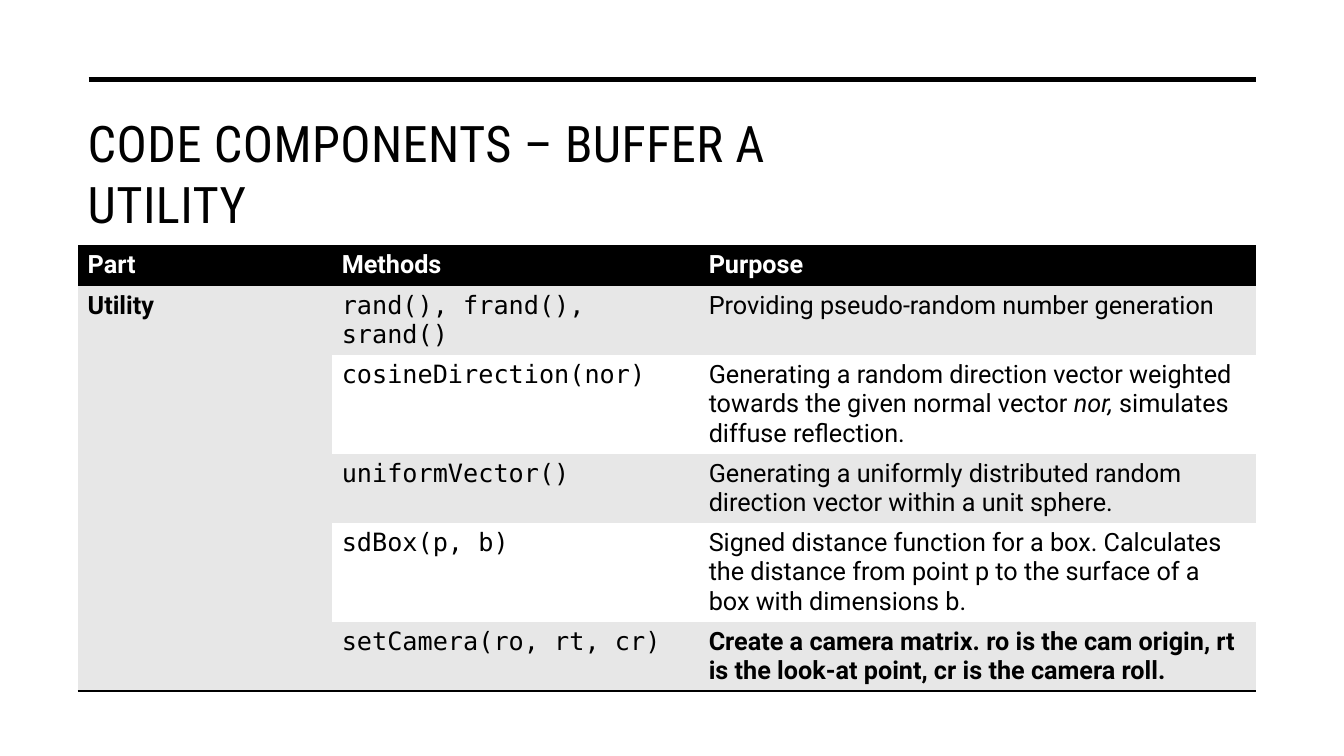
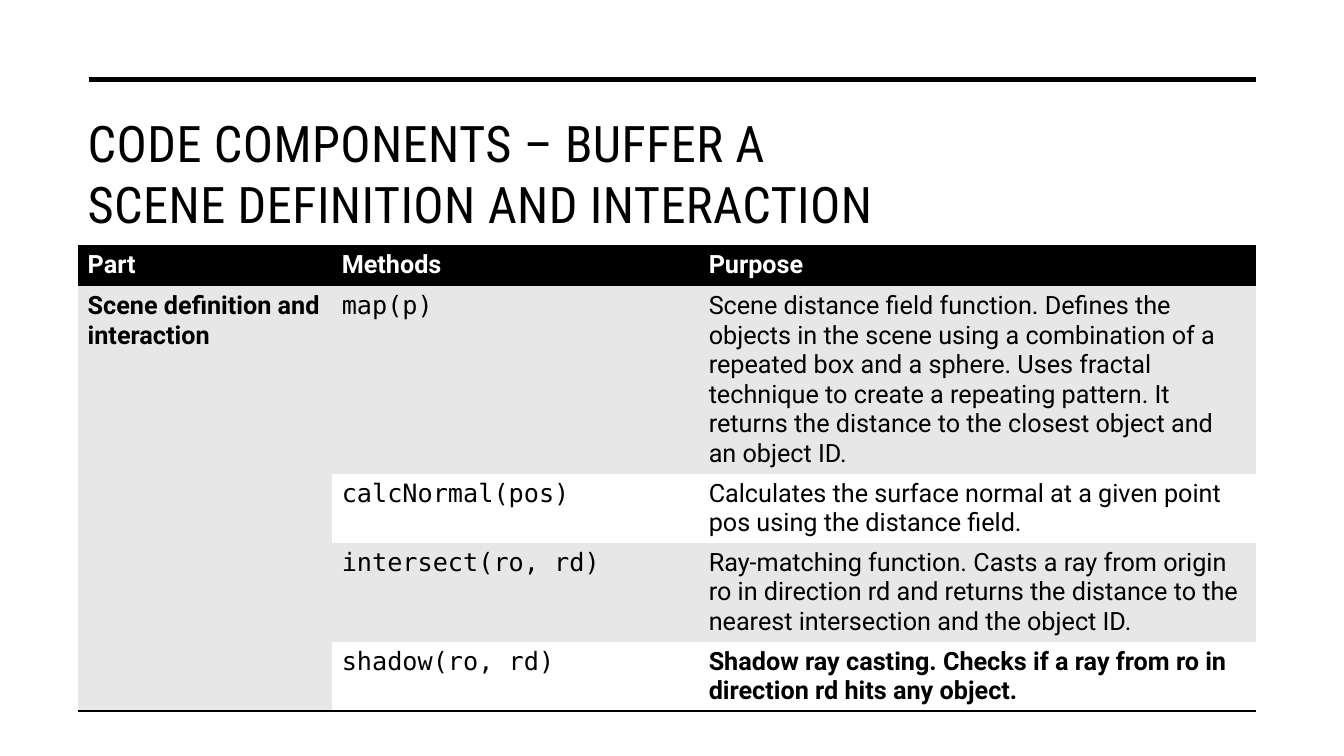
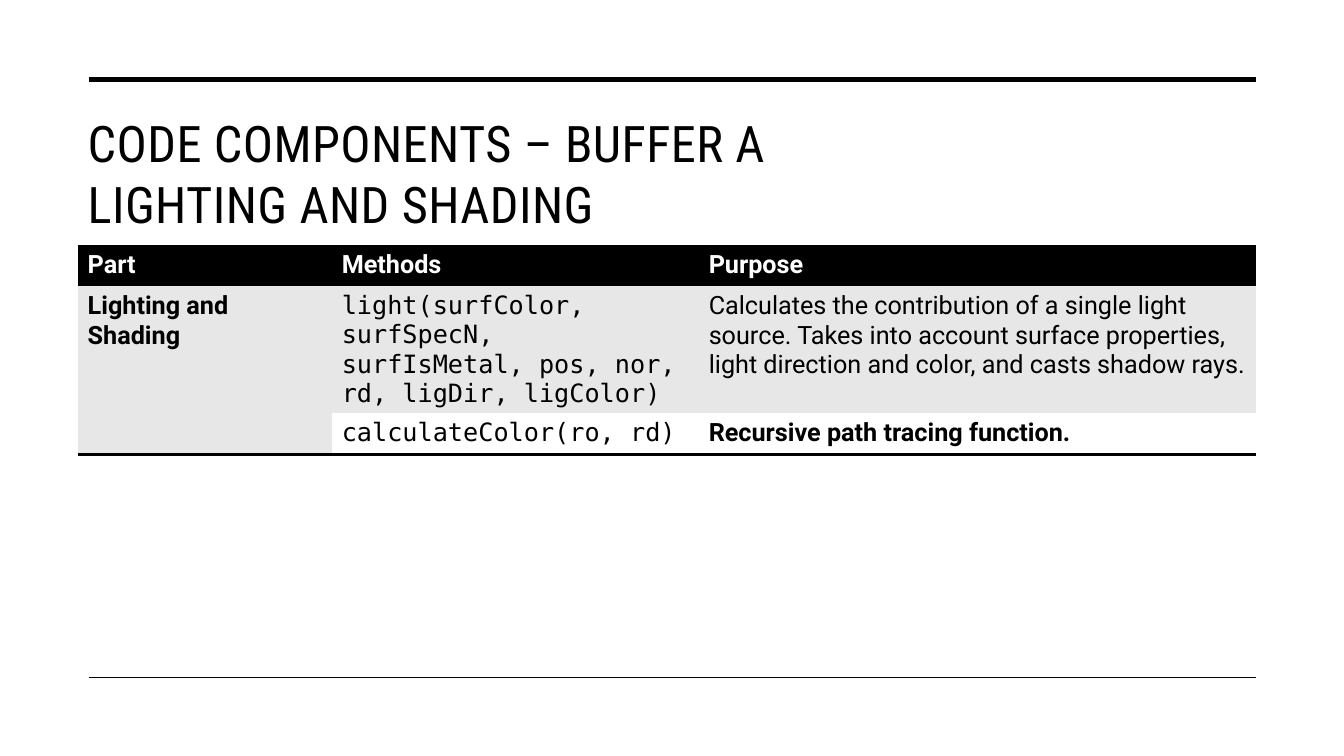
from lxml import etree
from pptx import Presentation
from pptx import util as u
from pptx.dml.color import RGBColor
from pptx.enum import shapes, text
from pptx.oxml import ns

COLORS = {"ink": "000000", "paper": "FFFFFF", "band": "E7E7E7"}
FONTS = {"title": "Roboto Condensed", "body": "Roboto", "code": "DejaVu Sans Mono"}
NO_GRID_STYLE = "{2D5ABB26-0587-4C30-8999-92F81FD0307C}"

LEFT, WIDTH = 0.77, 11.69
TITLE_BOX = (LEFT, 1, WIDTH, 1.43)
TABLE_TOP, ROW_HEIGHT = 2.43, 0.41
COLUMNS = (2.52, 3.64, 5.53)
HEADINGS = ("Part", "Methods", "Purpose")
RULES = ((0.79, 3.5), (6.72, 1))

# Text between asterisks is italic.
SLIDES = [
    ("UTILITY", "Utility", [
        ("rand(), frand(), srand()", "Providing pseudo-random number generation"),
        ("cosineDirection(nor)",
         "Generating a random direction vector weighted towards the given "
         "normal vector *nor, *simulates diffuse reflection."),
        ("uniformVector()",
         "Generating a uniformly distributed random direction vector within "
         "a unit sphere."),
        ("sdBox(p, b)",
         "Signed distance function for a box. Calculates the distance from "
         "point p to the surface of a box with dimensions b."),
        ("setCamera(ro, rt, cr)",
         "Create a camera matrix. ro is the cam origin, rt is the look-at "
         "point, cr is the camera roll."),
    ]),
    ("SCENE DEFINITION AND INTERACTION", "Scene definition and interaction", [
        ("map(p)",
         "Scene distance field function. Defines the objects in the scene "
         "using a combination of a repeated box and a sphere. Uses fractal "
         "technique to create a repeating pattern. It returns the distance "
         "to the closest object and an object ID."),
        ("calcNormal(pos)",
         "Calculates the surface normal at a given point pos using the "
         "distance field."),
        ("intersect(ro, rd)",
         "Ray-matching function. Casts a ray from origin ro in direction rd "
         "and returns the distance to the nearest intersection and the "
         "object ID."),
        ("shadow(ro, rd)",
         "Shadow ray casting. Checks if a ray from ro in direction rd hits "
         "any object."),
    ]),
    ("LIGHTING AND SHADING", "Lighting and Shading", [
        ("light(surfColor, surfSpecN, surfIsMetal, pos, nor, rd, ligDir, "
         "ligColor)",
         "Calculates the contribution of a single light source. Takes into "
         "account surface properties, light direction and color, and casts "
         "shadow rays."),
        ("calculateColor(ro, rd)", "Recursive path tracing function."),
    ]),
]


def rgb(name):
    return RGBColor.from_string(COLORS[name])


def style_run(r, font, size, color="ink", bold=False, italic=False):
    r.font.name, r.font.size = FONTS[font], u.Pt(size)
    r.font.bold, r.font.italic = bold, italic
    r.font.color.rgb = rgb(color)


def add_rules(s):
    for y, weight in RULES:
        line = s.shapes.add_connector(
            shapes.MSO_CONNECTOR.STRAIGHT, u.Inches(LEFT + 0.11), u.Inches(y),
            u.Inches(LEFT + WIDTH), u.Inches(y))
        line.line.color.rgb = rgb("ink")
        line.line.width = u.Pt(weight)
        etree.SubElement(line._element.spPr, ns.qn("a:effectLst"))


def set_title(s, lines, box):
    title = s.shapes.title
    title.left, title.top, title.width, title.height = map(u.Inches, box)
    tf = title.text_frame
    tf.word_wrap = True
    tf.auto_size = text.MSO_AUTO_SIZE.NONE
    tf.vertical_anchor = text.MSO_ANCHOR.MIDDLE
    p = tf.paragraphs[0]
    p.alignment = text.PP_ALIGN.LEFT
    for i, line in enumerate(lines):
        if i:
            p.add_line_break()
        r = p.add_run()
        r.text = line
        style_run(r, "title", 36)
        r._r.get_or_add_rPr().set("spc", "30")


def fill_cell(cell, content, fill, **style):
    cell.fill.solid()
    cell.fill.fore_color.rgb = rgb(fill)
    p = cell.text_frame.paragraphs[0]
    for i, part in enumerate(content.split("*")):
        r = p.add_run()
        r.text = part
        style_run(r, size=18, italic=i % 2 == 1, **style)


def add_bottom_border(cell):
    tc_pr = cell._tc.get_or_add_tcPr()
    border = etree.Element(ns.qn("a:lnB"), w=str(u.Pt(2)))
    solid = etree.SubElement(border, ns.qn("a:solidFill"))
    etree.SubElement(solid, ns.qn("a:srgbClr"), val=COLORS["ink"])
    tc_pr.insert(0, border)


def add_method_table(s, part, methods, left, top):
    """Table with one part spanning its methods; the last purpose is bold."""
    last = len(methods)
    frame = s.shapes.add_table(
        last + 1, len(COLUMNS), u.Inches(left), u.Inches(top),
        u.Inches(sum(COLUMNS)), u.Inches(ROW_HEIGHT * (last + 1)))
    table = frame.table
    table._tbl.tblPr.find(ns.qn("a:tableStyleId")).text = NO_GRID_STYLE
    for column, width in zip(table.columns, COLUMNS):
        column.width = u.Inches(width)
    for col, heading in enumerate(HEADINGS):
        fill_cell(table.cell(0, col), heading, "ink",
                  font="body", color="paper", bold=True)

    table.cell(1, 0).merge(table.cell(last, 0))
    fill_cell(table.cell(1, 0), part, "band", font="body", bold=True)
    for row, (method, purpose) in enumerate(methods, 1):
        fill = "band" if row % 2 else "paper"
        fill_cell(table.cell(row, 1), method, fill, font="code")
        fill_cell(table.cell(row, 2), purpose, fill, font="body",
                  bold=row == last)
    add_bottom_border(table.cell(1, 0))
    for col in range(len(COLUMNS)):
        add_bottom_border(table.cell(last, col))


def add_component_slide(prs, topic, part, methods):
    s = prs.slides.add_slide(prs.slide_layouts[5])
    add_rules(s)
    set_title(s, ("CODE COMPONENTS – BUFFER A", topic), TITLE_BOX)
    add_method_table(s, part, methods, LEFT, TABLE_TOP)


def main():
    prs = Presentation()
    prs.slide_width, prs.slide_height = u.Inches(13.33), u.Inches(7.5)
    for topic, part, methods in SLIDES:
        add_component_slide(prs, topic, part, methods)
    prs.save("out.pptx")


if __name__ == "__main__":
    main()
